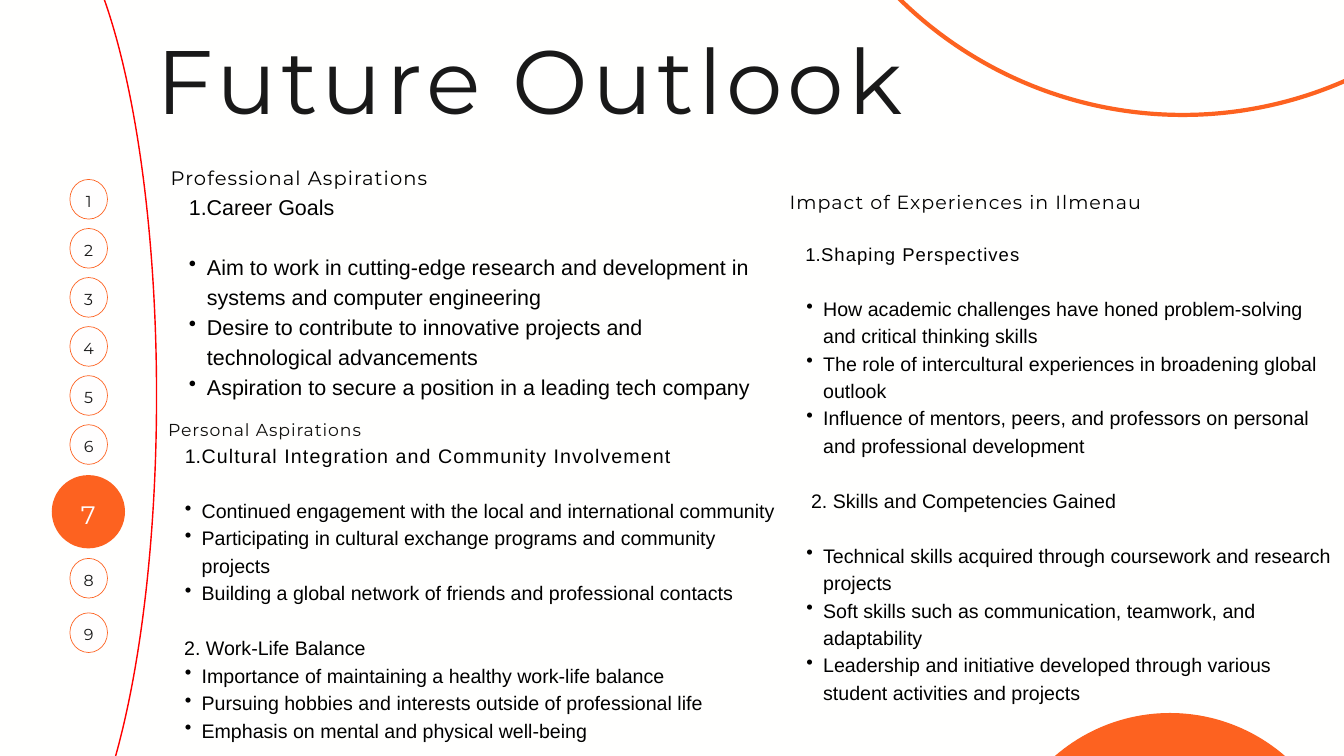
import pptx
import pptx.util
import pptx.dml.color
import pptx.enum.shapes
import pptx.enum.text
import pptx.oxml.ns
import lxml.etree

Inches = pptx.util.Inches
Pt = pptx.util.Pt

COLORS = {
    "background": "FFFFFE",
    "orange": "FD6220",
    "red": "FF0000",
    "white": "FFFEFE",
    "dark": "191919",
    "black": "000000",
    "heading": "11100E",
}


def color(name):
    return pptx.dml.color.RGBColor.from_string(COLORS[name])


class SlideBuilder:
    heading_font = "Montserrat"
    body_font = "Arial"

    def __init__(self, slide):
        self.slide = slide
        slide.background.fill.solid()
        slide.background.fill.fore_color.rgb = color("background")

    def oval(self, left, top, width, height, fill=None, line=None, weight=0.75):
        shape = self.slide.shapes.add_shape(
            pptx.enum.shapes.MSO_SHAPE.OVAL,
            Inches(left), Inches(top), Inches(width), Inches(height))
        shape.shadow.inherit = False
        if fill:
            shape.fill.solid()
            shape.fill.fore_color.rgb = color(fill)
        else:
            shape.fill.background()
        if line:
            shape.line.color.rgb = color(line)
            shape.line.width = Pt(weight)
        else:
            shape.line.fill.background()
        return shape

    def page_marker(self, number, top, current=False):
        if current:
            shape = self.oval(0.77, top, 1.09, 1.09, fill="orange")
        else:
            shape = self.oval(1.04, top, 0.56, 0.59, fill="white", line="orange")
        frame = self.frame(shape, pptx.enum.text.MSO_ANCHOR.MIDDLE)
        frame.word_wrap = False
        paragraph = frame.paragraphs[0]
        paragraph.text = str(number)
        paragraph.alignment = pptx.enum.text.PP_ALIGN.CENTER
        size = 27 if current else 17
        paragraph.line_spacing = Pt(size * 1.4)
        self.font(paragraph, self.heading_font, size, "white" if current else "dark")

    def frame(self, shape, anchor=pptx.enum.text.MSO_ANCHOR.TOP):
        frame = shape.text_frame
        frame.word_wrap = True
        frame.auto_size = pptx.enum.text.MSO_AUTO_SIZE.NONE
        frame.vertical_anchor = anchor
        frame.margin_left = frame.margin_right = 0
        frame.margin_top = frame.margin_bottom = 0
        return frame

    def font(self, paragraph, name, size, color_name, tracking=0):
        paragraph.font.name = name
        paragraph.font.size = Pt(size)
        paragraph.font.color.rgb = color(color_name)
        if tracking:
            properties = paragraph._p.get_or_add_pPr().get_or_add_defRPr()
            properties.set("spc", str(round(tracking * 100)))
            for run in paragraph.runs:
                run._r.get_or_add_rPr().set("spc", str(round(tracking * 100)))

    def title(self, text):
        shape = self.slide.shapes.title
        shape.left, shape.top = Inches(2.33), Inches(0.68)
        shape.width, shape.height = Inches(17), Inches(1.37)
        paragraph = self.frame(shape).paragraphs[0]
        paragraph.text = text
        paragraph.alignment = pptx.enum.text.PP_ALIGN.LEFT
        paragraph.line_spacing = Pt(93.5)
        self.font(paragraph, self.heading_font, 96.4, "dark", 4.8)

    def indent(self, paragraph, margin, bullet=None):
        properties = paragraph._p.get_or_add_pPr()
        properties.set("marL", str(Inches(margin)))
        if bullet:
            properties.set("indent", str(-Inches(margin / 2)))
            tag, attribute, value = bullet
            element = lxml.etree.SubElement(properties, pptx.oxml.ns.qn(tag))
            element.set(attribute, value)

    def text_block(self, box, heading, items, size, spacing):
        shape = self.slide.shapes.add_textbox(*[Inches(length) for length in box])
        frame = self.frame(shape)
        text, heading_size, heading_spacing, heading_color, tracking = heading
        paragraph = frame.paragraphs[0]
        paragraph.text = text
        paragraph.line_spacing = Pt(heading_spacing)
        self.font(paragraph, self.heading_font, heading_size, heading_color, tracking)
        for item in items:
            style = {"margin": 0.5, "bullet": BULLET, "before": 0, "size": size,
                     "spacing": spacing, "tracking": 0}
            if isinstance(item, tuple):
                item, changes = item
                style.update(changes)
            paragraph = frame.add_paragraph()
            paragraph.text = item
            paragraph.line_spacing = Pt(style["spacing"])
            paragraph.space_before = Pt(style["before"])
            self.indent(paragraph, style["margin"], style["bullet"])
            self.font(paragraph, self.body_font, style["size"], "black", style["tracking"])


BULLET = ("a:buChar", "char", "•")
NUMBER = ("a:buAutoNum", "type", "arabicPeriod")


def main():
    presentation = pptx.Presentation()
    presentation.slide_width = Inches(20)
    presentation.slide_height = Inches(11.25)
    builder = SlideBuilder(presentation.slides.add_slide(presentation.slide_layouts[5]))

    builder.oval(-1.5, -1.44, 3.83, 14.66, line="red", weight=1.5)
    builder.oval(11.59, -10.31, 12.02, 12.02, line="orange", weight=4.5)
    builder.oval(14.8, 10.61, 5.22, 5.22, fill="orange")

    marker_tops = [2.67 + 0.73 * step for step in range(6)] + [7.07, 8.31, 9.12]
    for number, top in enumerate(marker_tops, start=1):
        builder.page_marker(number, top, current=number == 7)

    builder.title("Future Outlook")

    builder.text_block(
        (2.54, 2.41, 8.89, 3.92),
        ("Professional Aspirations", 20.9, 29.3, "black", 1.2),
        [
            ("1.Career Goals", {"margin": 0.27, "bullet": None}),
            ("Aim to work in cutting-edge research and development in systems "
             "and computer engineering", {"margin": 0.54, "before": 32.2}),
            ("Desire to contribute to innovative projects and technological "
             "advancements", {"margin": 0.54}),
            ("Aspiration to secure a position in a leading tech company",
             {"margin": 0.54}),
        ], 23, 32.2)

    builder.text_block(
        (2.5, 6.19, 9.09, 5.06),
        ("Personal Aspirations", 18.5, 25.9, "heading", 1),
        [
            ("Cultural Integration and Community Involvement",
             {"bullet": NUMBER, "tracking": 1.2}),
            ("Continued engagement with the local and international community",
             {"before": 29.4}),
            "Participating in cultural exchange programs and community projects",
            "Building a global network of friends and professional contacts",
            ("2. Work-Life Balance", {"margin": 0.24, "bullet": None, "before": 29.4}),
            "Importance of maintaining a healthy work-life balance",
            "Pursuing hobbies and interests outside of professional life",
            "Emphasis on mental and physical well-being",
        ], 21, 29.4)

    builder.text_block(
        (11.75, 2.77, 8.07, 7.66),
        ("Impact of Experiences in Ilmenau", 20.4, 28.6, "black", 1.1),
        [
            ("Shaping Perspectives",
             {"margin": 0.47, "bullet": NUMBER, "before": 28.6, "size": 19.8,
              "spacing": 27.6, "tracking": 1.1}),
            ("How academic challenges have honed problem-solving and critical "
             "thinking skills", {"before": 29.4}),
            "The role of intercultural experiences in broadening global outlook",
            "Influence of mentors, peers, and professors on personal and "
            "professional development",
            ("2. Skills and Competencies Gained",
             {"margin": 0.32, "bullet": None, "before": 29.4}),
            ("Technical skills acquired through coursework and research projects",
             {"before": 29.4}),
            "Soft skills such as communication, teamwork, and adaptability",
            "Leadership and initiative developed through various student "
            "activities and projects",
        ], 21, 29.4)

    presentation.save("out.pptx")


if __name__ == "__main__":
    main()
